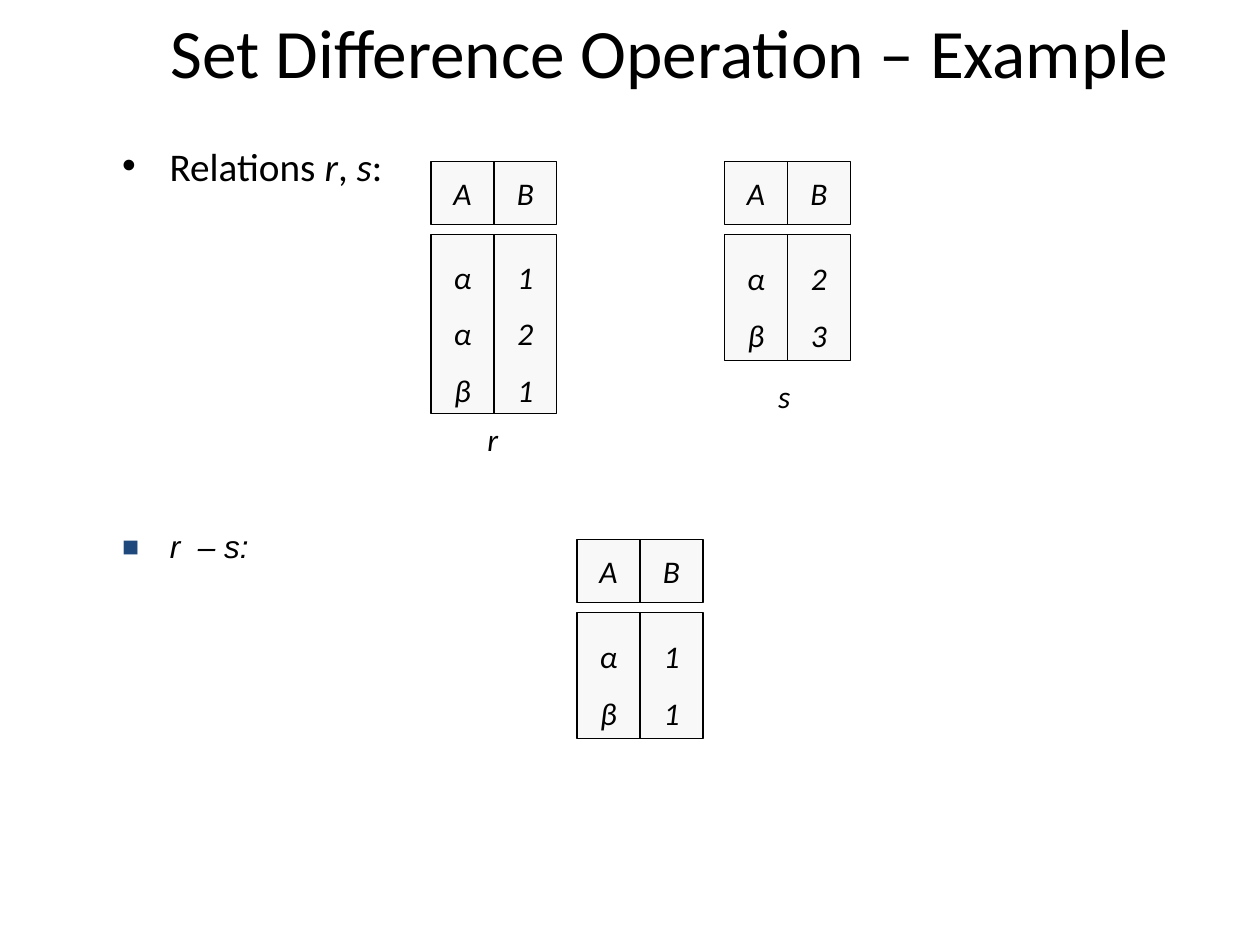
from lxml import etree
from pptx import Presentation
from pptx import util as u
from pptx.dml.color import RGBColor
from pptx.enum import shapes, text
from pptx.oxml.ns import qn

BLACK = RGBColor(0x00, 0x00, 0x00)
CELL_GRAY = RGBColor(0xF8, 0xF8, 0xF8)
BULLET_BLUE = RGBColor(0x1F, 0x49, 0x7D)


class SlideBuilder:
    """Style and current slide; lengths are in grid units of half an inch."""
    UNIT = u.Inches(0.5)
    HEAD_GAP = 0.16  # between a relation's header and its rows
    FONT = "Calibri"
    SIZE = 18

    def __init__(self, prs):
        self.slide = prs.slides.add_slide(prs.slide_layouts[1])

    def box(self, *lengths):
        return [round(length * self.UNIT) for length in lengths]

    def place(self, shape, *lengths):
        shape.left, shape.top, shape.width, shape.height = self.box(*lengths)

    def style(self, paragraph, size=SIZE, font=FONT, italic=None,
              align=None, spacing=None):
        paragraph.font.size = u.Pt(size)
        paragraph.font.name = font
        paragraph.font.color.rgb = BLACK
        paragraph.font.italic = italic
        paragraph.alignment = align
        paragraph.line_spacing = spacing

    def title(self, words, *lengths):
        title = self.slide.shapes.title
        self.place(title, *lengths)
        title.text_frame.text = words
        title.text_frame.auto_size = text.MSO_AUTO_SIZE.NONE
        title.text_frame.vertical_anchor = text.MSO_ANCHOR.MIDDLE
        self.style(title.text_frame.paragraphs[0], 39.6, align=text.PP_ALIGN.CENTER)

    def body(self, parts, *lengths):
        """Fill the body with (words, italic) parts on one bulleted line."""
        body = self.slide.placeholders[1]
        self.place(body, *lengths)
        body.text_frame.auto_size = text.MSO_AUTO_SIZE.NONE
        line = body.text_frame.paragraphs[0]
        for words, italic in parts:
            run = line.add_run()
            run.text = words
            run.font.italic = italic
        self.style(line, 22.4, spacing=0.7)

    def text_box(self, words, *lengths):
        box = self.slide.shapes.add_textbox(*self.box(*lengths))
        box.text_frame.text = words
        return box.text_frame

    def square_bullet(self, words, *lengths):
        frame = self.text_box(words, *lengths)
        frame.word_wrap = True
        line = frame.paragraphs[0]
        self.style(line, font="Arial", italic=True, spacing=0.9)
        props = line._p.get_or_add_pPr()
        props.set("marL", str(u.Inches(0.38)))
        props.set("indent", str(-u.Inches(0.38)))
        color = etree.SubElement(props, qn("a:buClr"))
        etree.SubElement(color, qn("a:srgbClr"), val=str(BULLET_BLUE))
        etree.SubElement(props, qn("a:buSzPct"), val="90000")
        etree.SubElement(props, qn("a:buFont"), typeface="Arial")
        etree.SubElement(props, qn("a:buChar"), char="■")

    def centered(self, frame, spacing=None):
        frame.word_wrap = False
        frame.vertical_anchor = text.MSO_ANCHOR.MIDDLE
        for line in frame.paragraphs:
            self.style(line, italic=True, align=text.PP_ALIGN.CENTER, spacing=spacing)

    def caption(self, words, *lengths):
        self.centered(self.text_box(words, *lengths))

    def cell(self, lines, *lengths, spacing=None):
        cell = self.slide.shapes.add_shape(shapes.MSO_SHAPE.RECTANGLE, *self.box(*lengths))
        cell.shadow.inherit = False
        cell.fill.solid()
        cell.fill.fore_color.rgb = CELL_GRAY
        cell.line.color.rgb = BLACK
        cell.line.width = u.Pt(0.75)
        cell.text_frame.text = "\n".join(lines)
        self.centered(cell.text_frame, spacing)

    def relation(self, columns, left, top, height):
        """Draw a header cell over a tall cell of values for each column."""
        for offset, (name, values) in enumerate(columns.items()):
            self.cell([name], left + offset, top, 1, 1)
            self.cell(values, left + offset, top + 1 + self.HEAD_GAP, 1, height,
                      spacing=1.5)


def main():
    prs = Presentation()
    prs.slide_width, prs.slide_height = u.Inches(10), u.Inches(7.5)
    page = SlideBuilder(prs)

    # Title and list
    page.title("Set Difference Operation – Example", 1.8, 0.14, 17.66, 1.34)
    page.body([("Relations ", False), ("r", True), (", ", False),
               ("s", True), (":", False)], 1.74, 2.36, 15, 0.74)
    page.square_bullet("r  – s:", 1.74, 8.34, 15.38, 0.72)

    # Given relations
    page.relation({"A": "ααβ", "B": "121"}, 6.84, 2.56, 2.84)
    page.relation({"A": "αβ", "B": "23"}, 11.5, 2.56, 2)
    page.caption("r", 7.54, 6.56, 0.56, 0.8)
    page.caption("s", 12.12, 5.88, 0.66, 0.8)

    # Their difference
    page.relation({"A": "αβ", "B": "11"}, 9.16, 8.56, 2)

    prs.save("out.pptx")


if __name__ == "__main__":
    main()
